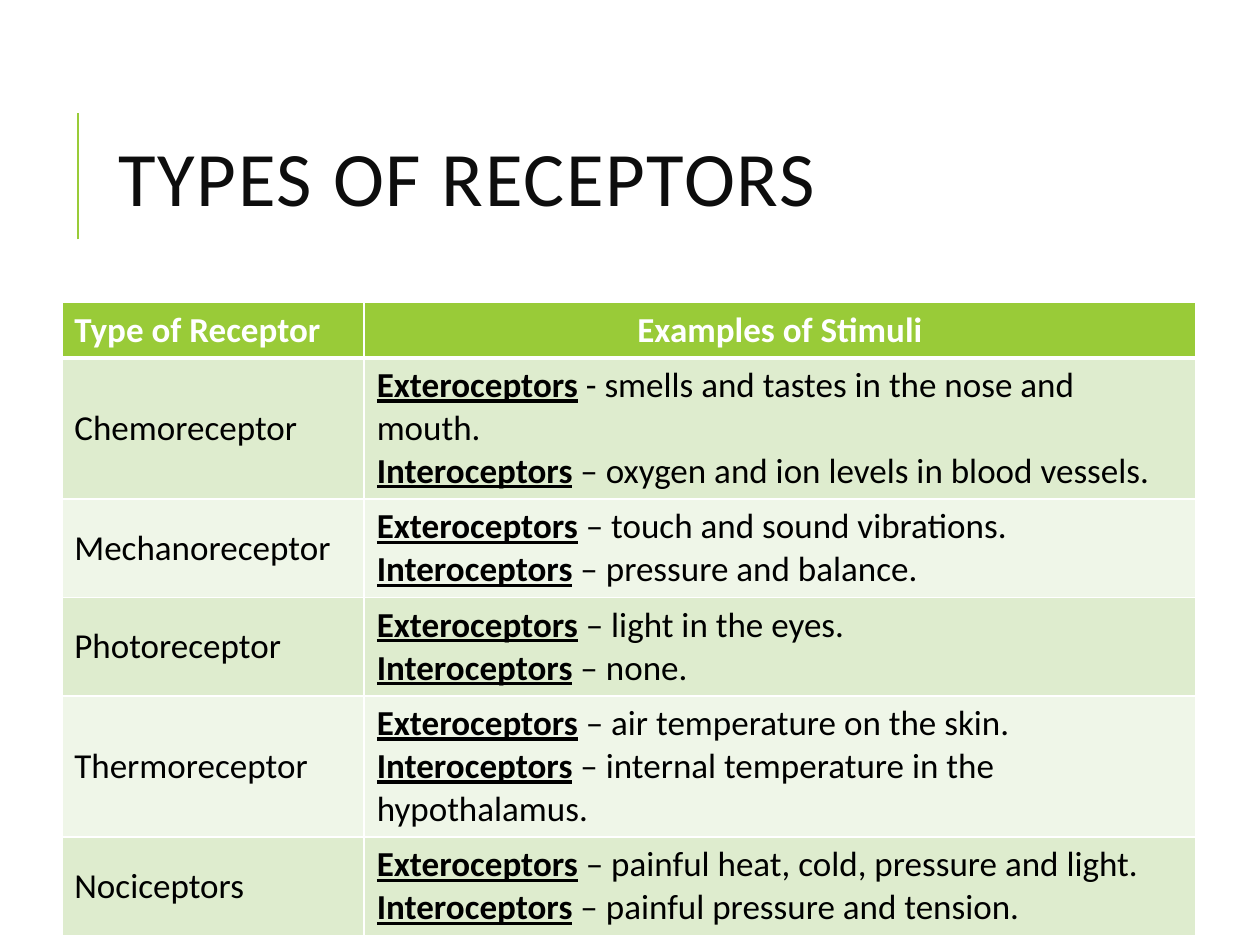
"""Build a slide with a table of receptor types and their stimuli."""
from lxml.etree import SubElement
from pptx import Presentation
from pptx.dml.color import RGBColor
from pptx.enum.shapes import MSO_CONNECTOR
from pptx.enum.text import MSO_ANCHOR, MSO_AUTO_SIZE, PP_ALIGN
from pptx.oxml.ns import qn
from pptx.util import Inches, Pt

TITLE = "TYPES OF RECEPTORS"
HEADERS = ["Type of Receptor", "Examples of Stimuli"]
LABELS = ["Exteroceptors", "Interoceptors"]
RECEPTORS = [
    ("Chemoreceptor", " - smells and tastes in the nose and mouth.",
     " – oxygen and ion levels in blood vessels."),
    ("Mechanoreceptor", " – touch and sound vibrations.", " – pressure and balance."),
    ("Photoreceptor", " – light in the eyes.", " – none."),
    ("Thermoreceptor", " – air temperature on the skin.",
     " – internal temperature in the hypothalamus."),
    ("Nociceptors", " – painful heat, cold, pressure and light.",
     " – painful pressure and tension."),
]
ROW_LINES = [1, 3, 2, 2, 3, 2]
COL_WIDTHS = [2.4, 6.6]

GREEN = RGBColor(0x99, 0xCB, 0x38)
BANDS = [RGBColor(0xDE, 0xEC, 0xCE), RGBColor(0xEF, 0xF6, 0xE8)]
WHITE = RGBColor(0xFF, 0xFF, 0xFF)
BLACK = RGBColor(0, 0, 0)
INK = RGBColor(0x0D, 0x0D, 0x0D)

HEAD = {"size": Pt(20), "name": "Calibri", "bold": True, "underline": False}
BODY = HEAD | {"bold": False}
LABEL = HEAD | {"underline": True}
TITLE_FONT = BODY | {"size": Pt(44)}


def add_run(p, text, style, color):
    r = p.add_run()
    r.text = text
    for name, value in style.items():
        setattr(r.font, name, value)
    r.font.color.rgb = color
    return r


def format_cell(cell, fill, bottom=1):
    tcPr = cell._tc.get_or_add_tcPr()
    for side, width in {"L": 1, "R": 1, "T": 1, "B": bottom}.items():
        ln = SubElement(tcPr, qn(f"a:ln{side}"), w=str(Pt(width)))
        solid = SubElement(ln, qn("a:solidFill"))
        SubElement(solid, qn("a:srgbClr"), val=str(WHITE))
    cell.fill.solid()
    cell.fill.fore_color.rgb = fill


def add_title(s):
    sp = s.shapes.title
    sp.left, sp.top, sp.width, sp.height = map(Inches, (0.84, 0.64, 7.97, 1.64))
    tf = sp.text_frame
    tf.auto_size = MSO_AUTO_SIZE.NONE
    tf.vertical_anchor = MSO_ANCHOR.MIDDLE
    p = tf.paragraphs[0]
    p.alignment = PP_ALIGN.LEFT
    p.line_spacing = 0.8
    r = add_run(p, TITLE, TITLE_FONT, INK)
    r.font._element.set("spc", "100")

    x = Inches(0.62)
    rule = s.shapes.add_connector(MSO_CONNECTOR.STRAIGHT, x, Inches(1.9), x, Inches(0.9))
    rule.line.color.rgb = GREEN
    rule.line.width = Pt(1.5)
    SubElement(rule._element.spPr, qn("a:effectLst"))


def add_receptor_table(s):
    heights = [0.1 + 0.34 * lines for lines in ROW_LINES]
    table = s.shapes.add_table(
        len(heights), len(COL_WIDTHS), Inches(0.49), Inches(2.4),
        Inches(sum(COL_WIDTHS)), Inches(sum(heights))).table
    for column, width in zip(table.columns, COL_WIDTHS):
        column.width = Inches(width)
    for row, height in zip(table.rows, heights):
        row.height = Inches(height)

    for col, text in enumerate(HEADERS):
        cell = table.cell(0, col)
        format_cell(cell, GREEN, bottom=3)
        cell.vertical_anchor = MSO_ANCHOR.MIDDLE
        p = cell.text_frame.paragraphs[0]
        p.alignment = PP_ALIGN.CENTER if col else PP_ALIGN.LEFT
        add_run(p, text, HEAD, WHITE)

    for i, (receptor, *stimuli) in enumerate(RECEPTORS):
        name_cell, stimuli_cell = table.rows[i + 1].cells
        for cell in (name_cell, stimuli_cell):
            format_cell(cell, BANDS[i % 2])
        name_cell.vertical_anchor = MSO_ANCHOR.MIDDLE
        add_run(name_cell.text_frame.paragraphs[0], receptor, BODY, BLACK)
        tf = stimuli_cell.text_frame
        tf.add_paragraph()
        for p, label, text in zip(tf.paragraphs, LABELS, stimuli):
            add_run(p, label, LABEL, BLACK)
            add_run(p, text, BODY, BLACK)


def main():
    prs = Presentation()
    prs.slide_width, prs.slide_height = Inches(10), Inches(7.5)
    s = prs.slides.add_slide(prs.slide_layouts[5])
    add_title(s)
    add_receptor_table(s)
    prs.save("out.pptx")


if __name__ == "__main__":
    main()
